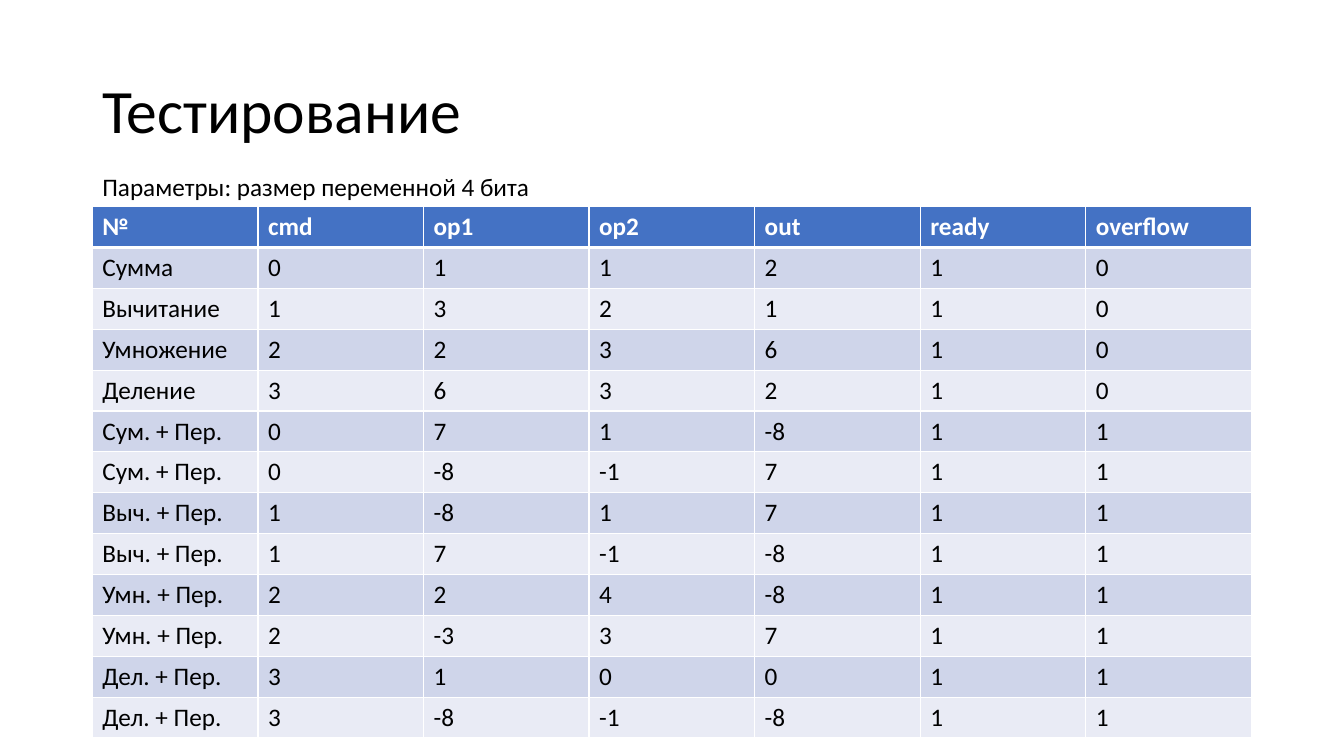
from dataclasses import dataclass

from lxml.etree import SubElement
from pptx import Presentation
from pptx.dml.color import RGBColor
from pptx.enum.text import MSO_ANCHOR
from pptx.oxml.ns import qn
from pptx.util import Pt


@dataclass(frozen=True)
class Theme:
    font: str = "Calibri"
    title_size: int = 44
    body_size: int = 18
    text: str = "000000"
    white: str = "FFFFFF"
    header: str = "4472C4"
    bands: tuple = ("CFD5EA", "E9EBF5")


THEME = Theme()
LEFT, WIDTH = 66, 828
TABLE_TOP, ROW_HEIGHT = 147.6, 29.2

HEADER = ("№", "cmd", "op1", "op2", "out", "ready", "overflow")
TESTS = (
    ("Сумма", 0, 1, 1, 2, 1, 0),
    ("Вычитание", 1, 3, 2, 1, 1, 0),
    ("Умножение", 2, 2, 3, 6, 1, 0),
    ("Деление", 3, 6, 3, 2, 1, 0),
    ("Сум. + Пер.", 0, 7, 1, -8, 1, 1),
    ("Сум. + Пер.", 0, -8, -1, 7, 1, 1),
    ("Выч. + Пер.", 1, -8, 1, 7, 1, 1),
    ("Выч. + Пер.", 1, 7, -1, -8, 1, 1),
    ("Умн. + Пер.", 2, 2, 4, -8, 1, 1),
    ("Умн. + Пер.", 2, -3, 3, 7, 1, 1),
    ("Дел. + Пер.", 3, 1, 0, 0, 1, 1),
    ("Дел. + Пер.", 3, -8, -1, -8, 1, 1),
)


def style_paragraph(p, size, color, bold=False):
    p.font.name = THEME.font
    p.font.size = Pt(size)
    p.font.bold = bold
    p.font.color.rgb = RGBColor.from_string(color)


def add_text(slide, text, top, width, height, size, wrap=True):
    """Add a left-aligned line of text, centred vertically in its box."""
    sp = slide.shapes.add_textbox(Pt(LEFT), Pt(top), Pt(width), Pt(height))
    tf = sp.text_frame
    tf.word_wrap = wrap
    tf.vertical_anchor = MSO_ANCHOR.MIDDLE
    p = tf.paragraphs[0]
    p.text = text
    style_paragraph(p, size, THEME.text)
    return p


def set_borders(cell, bottom_width, top_width):
    """Draw white cell borders; they must precede the fill in tcPr."""
    widths = {"a:lnL": 1, "a:lnR": 1, "a:lnT": top_width, "a:lnB": bottom_width}
    tc_pr = cell._tc.get_or_add_tcPr()
    for tag, width in widths.items():
        ln = SubElement(tc_pr, qn(tag), w=str(Pt(width)))
        fill = SubElement(ln, qn("a:solidFill"))
        SubElement(fill, qn("a:srgbClr"), val=THEME.white)


def fill_cell(cell, value, row):
    is_header = row == 0
    set_borders(cell, 3 if is_header else 1, 3 if row == 1 else 1)
    cell.fill.solid()
    color = THEME.header if is_header else THEME.bands[(row - 1) % 2]
    cell.fill.fore_color.rgb = RGBColor.from_string(color)
    p = cell.text_frame.paragraphs[0]
    p.text = str(value)
    style_paragraph(p, THEME.body_size,
                    THEME.white if is_header else THEME.text, is_header)


def add_test_table(slide):
    rows = (HEADER, *TESTS)
    table = slide.shapes.add_table(
        len(rows), len(HEADER), Pt(LEFT), Pt(TABLE_TOP),
        Pt(WIDTH), Pt(ROW_HEIGHT * len(rows))).table
    for row in table.rows:
        row.height = Pt(ROW_HEIGHT)
    for r, values in enumerate(rows):
        for c, value in enumerate(values):
            fill_cell(table.cell(r, c), value, r)


def main():
    prs = Presentation()
    prs.slide_width, prs.slide_height = Pt(960), Pt(540)
    slide = prs.slides.add_slide(prs.slide_layouts[6])
    title = add_text(slide, "Тестирование", 28.75, WIDTH, 104.4, THEME.title_size)
    title.line_spacing = 0.9
    add_test_table(slide)
    add_text(slide, "Параметры: размер переменной 4 бита",
             118.8, 323.3, 29.1, THEME.body_size, wrap=False)
    prs.save("out.pptx")


if __name__ == "__main__":
    main()
